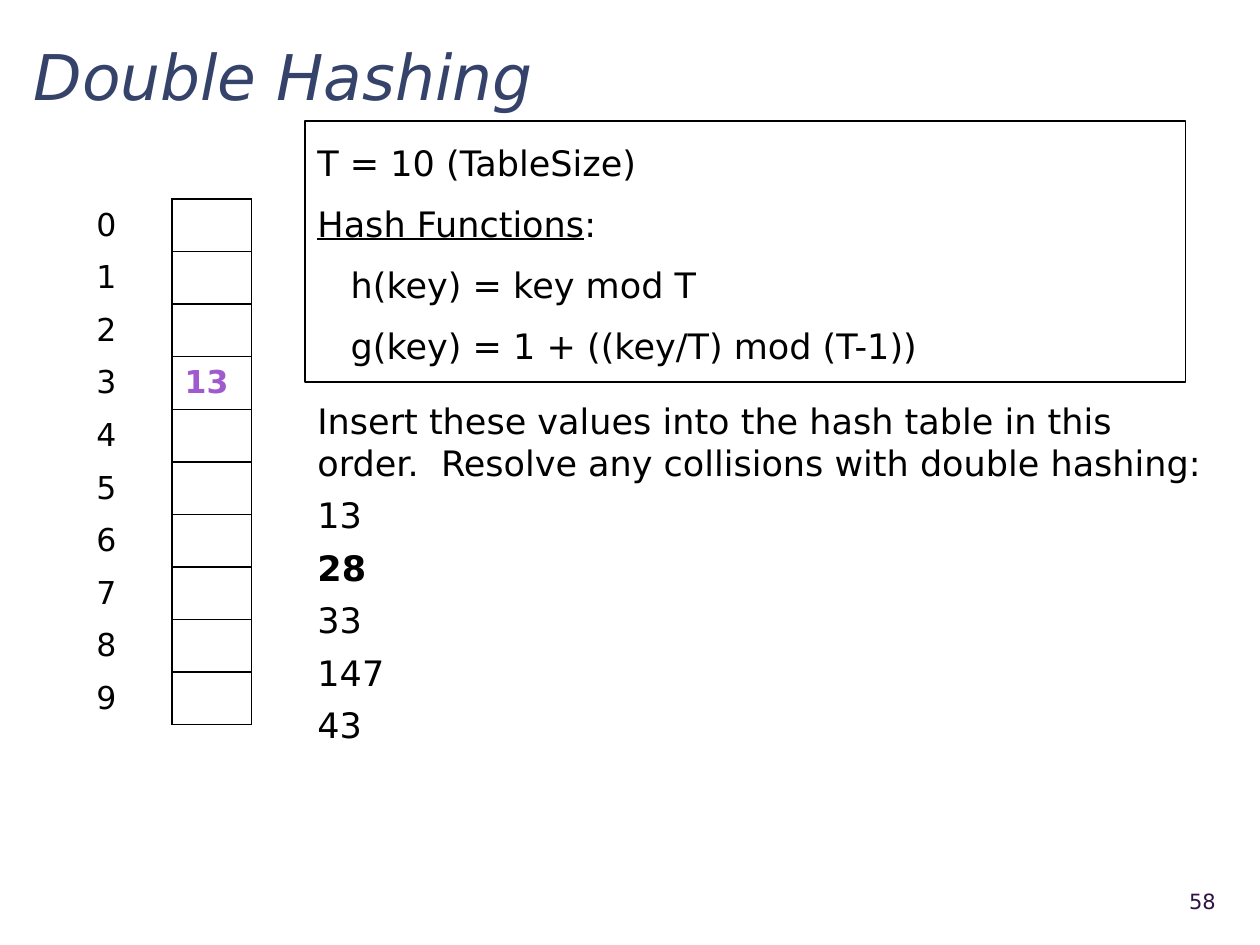
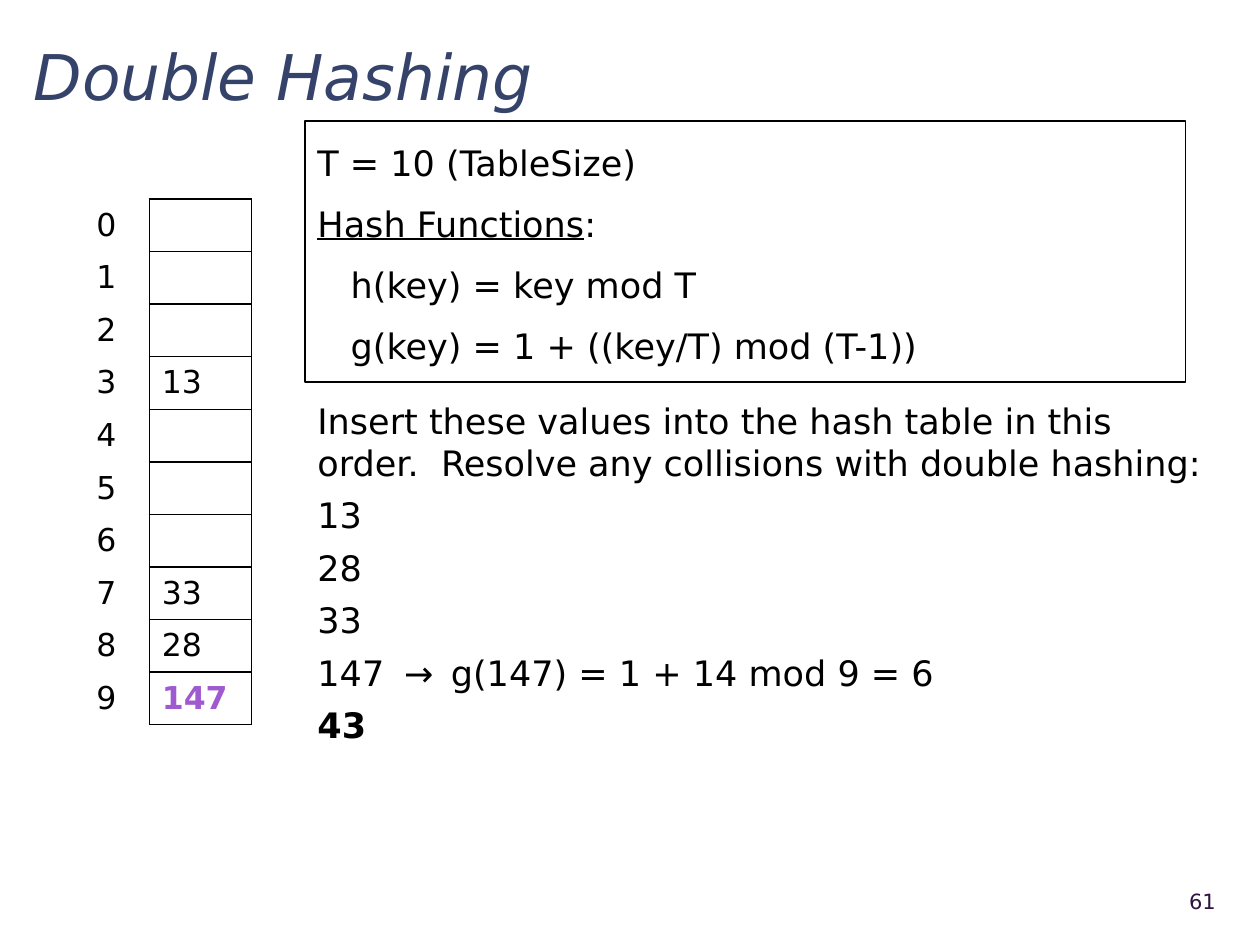
from dataclasses import dataclass
from typing import Optional

from lxml.etree import SubElement
from pptx import Presentation
from pptx.dml.color import RGBColor
from pptx.enum.shapes import MSO_SHAPE
from pptx.enum.text import MSO_ANCHOR, MSO_AUTO_SIZE, PP_ALIGN
from pptx.oxml import parse_xml
from pptx.oxml.ns import nsdecls, qn
from pptx.util import Cm, Pt

FONT = "DejaVu Sans"
INK = "000000"
TITLE = "35436A"
NUMBER = "2F1343"
NEW_KEY = "9F5AD0"

TABLE_SIZE = 10
ROW_H = 1.06
TABLE_W = 3.38
TEXT_X = 6.15
FORMULA_INDENT = 0.67
KEYS = ["13", "28", "33", "147", "43"]
TASK = ("Insert these values into the hash table in this order.  "
        "Resolve any collisions with double hashing:")


@dataclass(frozen=True)
class Box:
    """Position and size in centimetres."""
    x: float
    y: float
    w: float
    h: float


@dataclass(frozen=True)
class Step:
    """State of the hash table while the keys are inserted."""
    number: int
    index_w: float
    slots: dict[int, str]
    inserted: str
    upcoming: str
    probes: dict[str, str]


STEPS = [
    Step(58, 1.78, {3: "13"}, "13", "28", {}),
    Step(61, 1.32, {3: "13", 7: "33", 8: "28", 9: "147"}, "147", "43",
         {"147": "\t→\tg(147) = 1 + 14 mod 9 = 6"}),
]


def rgb(color: str) -> RGBColor:
    """Turn a hex string into a colour."""
    return RGBColor.from_string(color)


def style(p, size: float, color: str = INK, bold: bool = False,
          italic: bool = False, before: Optional[float] = None,
          line: Optional[float] = None) -> None:
    """Set the font and spacing of a paragraph."""
    f = p.font
    f.name, f.size, f.bold, f.italic = FONT, Pt(size), bold, italic
    f.color.rgb = rgb(color)
    if before is not None:
        p.space_before = Pt(before)
    if line is not None:
        p.line_spacing = line


def add_text(s, box: Box, anchor: MSO_ANCHOR = MSO_ANCHOR.TOP):
    """Add a wrapping text box and return its text frame."""
    sp = s.shapes.add_textbox(Cm(box.x), Cm(box.y), Cm(box.w), Cm(box.h))
    tf = sp.text_frame
    tf.word_wrap = True
    tf.vertical_anchor = anchor
    return tf


def next_paragraph(tf, index: int):
    """Return the first paragraph or a new one."""
    return tf.add_paragraph() if index else tf.paragraphs[0]


def add_title(s) -> None:
    """Add the slide title."""
    p = add_text(s, Box(0.43, 0.48, 24.56, 1.91), MSO_ANCHOR.MIDDLE).paragraphs[0]
    p.text = "Double Hashing"
    style(p, 36, TITLE, italic=True, line=1.1)


def add_number(s, number: int) -> None:
    """Add the slide number."""
    p = add_text(s, Box(22.58, 17.65, 2.18, 1.02), MSO_ANCHOR.MIDDLE).paragraphs[0]
    p.text = str(number)
    p.alignment = PP_ALIGN.RIGHT
    style(p, 12, NUMBER)


def add_tabs(p, *stops: float) -> None:
    """Add left tab stops at centimetre positions."""
    tabs = SubElement(p._p.get_or_add_pPr(), qn("a:tabLst"))
    for stop in stops:
        SubElement(tabs, qn("a:tab"), pos=str(int(Cm(stop))), algn="l")


def add_task(s, step: Step) -> None:
    """Add the instruction and the keys, with the upcoming key in bold."""
    tf = add_text(s, Box(TEXT_X, 7.92, 18.49, 7.32))
    tf.auto_size = MSO_AUTO_SIZE.SHAPE_TO_FIT_TEXT
    for i, text in enumerate([TASK, *KEYS]):
        p = next_paragraph(tf, i)
        p.add_run().text = text + step.probes.get(text, "")
        if text in step.probes:
            add_tabs(p, 1.75, 2.69)
        style(p, 20, bold=text == step.upcoming, before=6)


def add_functions(s) -> None:
    """Add the framed hash function definitions."""
    sp = s.shapes.add_shape(MSO_SHAPE.RECTANGLE, Cm(TEXT_X), Cm(2.44),
                            Cm(17.75), Cm(5.26))
    sp.shadow.inherit = False
    sp.fill.background()
    sp.line.color.rgb = rgb(INK)
    sp.line.width = Pt(0.75)
    tf = sp.text_frame
    tf.word_wrap = True
    tf.auto_size = MSO_AUTO_SIZE.SHAPE_TO_FIT_TEXT
    tf.vertical_anchor = MSO_ANCHOR.TOP
    tf.margin_left = tf.margin_right = tf.margin_top = tf.margin_bottom = Cm(0.25)
    lines = [(["T = 10 (TableSize)"], 0),
             (["Hash Functions", ":"], 0),
             (["h(key) = key mod T"], FORMULA_INDENT),
             (["g(key) = 1 + ((key/T) mod (T-1))"], FORMULA_INDENT)]
    for i, (texts, indent) in enumerate(lines):
        p = next_paragraph(tf, i)
        for text in texts:
            r = p.add_run()
            r.text = text
            if text == "Hash Functions":
                r.font.underline = True
        p.alignment = PP_ALIGN.LEFT
        p._p.get_or_add_pPr().set("marL", str(int(Cm(indent))))
        style(p, 20, before=6, line=1.2)


def add_borders(cell, sides: str) -> None:
    """Draw black borders on the given sides of a cell."""
    tc_pr = cell._tc.get_or_add_tcPr()
    for i, side in enumerate(sides):
        tc_pr.insert(i, parse_xml(
            f'<a:ln{side} {nsdecls("a")} w="{int(Pt(1))}"><a:solidFill>'
            f'<a:srgbClr val="{INK}"/></a:solidFill></a:ln{side}>'))


def fill_cell(cell, text: str, borders: str, new: bool = False) -> None:
    """Write a cell, coloured and bold if its key is new."""
    cell.fill.background()
    cell.vertical_anchor = MSO_ANCHOR.MIDDLE
    add_borders(cell, borders)
    p = cell.text_frame.paragraphs[0]
    if text:
        p.add_run().text = text
    style(p, 18, NEW_KEY if new else INK, bold=new)


def add_hash_table(s, step: Step) -> None:
    """Add the slot indices and their keys."""
    table = s.shapes.add_table(TABLE_SIZE, 2, Cm(1.69), Cm(4.01), Cm(TABLE_W),
                               Cm(ROW_H * TABLE_SIZE)).table
    table.first_row = table.horz_banding = False
    table.columns[0].width = Cm(step.index_w)
    table.columns[1].width = Cm(TABLE_W - step.index_w)
    for i in range(TABLE_SIZE):
        key = step.slots.get(i, "")
        fill_cell(table.cell(i, 0), str(i), "R")
        fill_cell(table.cell(i, 1), key, "LRTB", key == step.inserted)


def main() -> None:
    """Build the slides and save them."""
    prs = Presentation()
    prs.slide_width, prs.slide_height = Cm(25.4), Cm(19.05)
    for step in STEPS:
        s = prs.slides.add_slide(prs.slide_layouts[6])
        add_title(s)
        add_task(s, step)
        add_functions(s)
        add_number(s, step.number)
        add_hash_table(s, step)
    prs.save("out.pptx")


if __name__ == "__main__":
    main()
